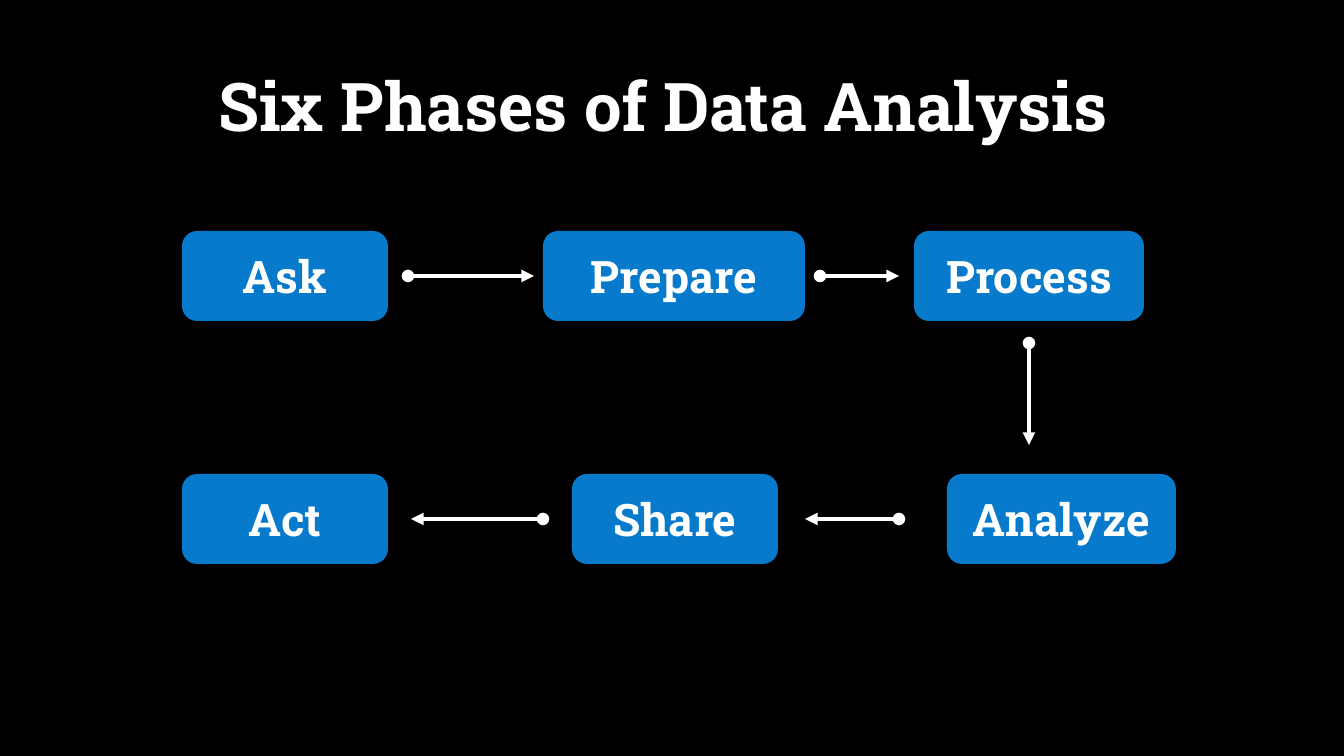
from lxml import etree
from pptx import Presentation
from pptx import util as u
from pptx.dml.color import RGBColor
from pptx.enum import shapes, text
from pptx.oxml.ns import qn

SCALE = 914400 / 100.8
COLORS = {"background": "000000", "phase": "077ACC", "light": "FFFFFF"}
FONT = "Roboto Slab"
BOX_HEIGHT = 90


def px(length):
    return u.Emu(round(length * SCALE))


def rgb(name):
    return RGBColor.from_string(COLORS[name])


def write(frame, words, size, color="light", bold=True, spacing=1.0):
    frame.word_wrap = True
    frame.auto_size = text.MSO_AUTO_SIZE.NONE
    frame.vertical_anchor = text.MSO_ANCHOR.MIDDLE
    paragraph = frame.paragraphs[0]
    paragraph.alignment = text.PP_ALIGN.CENTER
    paragraph.line_spacing = spacing
    run = paragraph.add_run()
    run.text = words
    run.font.name, run.font.size, run.font.bold = FONT, u.Pt(size), bold
    run.font.color.rgb = rgb(color)


def add_heading(slide, left, top, width, height):
    heading = slide.shapes.title
    heading.left, heading.top = px(left), px(top)
    heading.width, heading.height = px(width), px(height)
    write(heading.text_frame, "Six Phases of Data Analysis", 48, spacing=0.9)


def add_phase(slide, name, left, top, width):
    phase = slide.shapes.add_shape(
        shapes.MSO_SHAPE.ROUNDED_RECTANGLE,
        px(left), px(top), px(width), px(BOX_HEIGHT))
    phase.shadow.inherit = False
    phase.fill.solid()
    phase.fill.fore_color.rgb = rgb("phase")
    phase.line.fill.background()
    write(phase.text_frame, name, 32)


def add_arrow(slide, x1, y1, x2, y2):
    arrow = slide.shapes.add_connector(
        shapes.MSO_CONNECTOR.STRAIGHT, px(x1), px(y1), px(x2), px(y2))
    arrow.line.color.rgb = rgb("light")
    arrow.line.width = u.Pt(3)
    line = arrow.line._get_or_add_ln()
    for end, kind in (("a:headEnd", "oval"), ("a:tailEnd", "triangle")):
        etree.SubElement(line, qn(end), type=kind)
    etree.SubElement(arrow._element.spPr, qn("a:effectLst"))


def add_row(slide, left, top, phases, arrows):
    """Phases are (name, offset, width); arrows are (start, end) offsets."""
    for name, offset, width in phases:
        add_phase(slide, name, left + offset, top, width)
    middle = top + BOX_HEIGHT / 2
    for start, end in arrows:
        add_arrow(slide, left + start, middle, left + end, middle)


deck = Presentation()
deck.slide_width, deck.slide_height = px(1344), px(756)
slide = deck.slides.add_slide(deck.slide_layouts[5])
slide.background.fill.solid()
slide.background.fill.fore_color.rgb = rgb("background")

add_heading(slide, 93, 37, 1141, 146)

# First three phases, left to right
add_row(slide, 182, 231,
        [("Ask", 0, 206), ("Prepare", 361, 262), ("Process", 732, 230)],
        [(226, 352), (638, 717)])

# Last three phases, right to left
add_row(slide, 182, 474,
        [("Analyze", 765, 229), ("Share", 390, 206), ("Act", 0, 206)],
        [(717, 623), (361, 229)])

# Turn from Process down to Analyze
add_arrow(slide, 1029, 343, 1029, 445)

deck.save("out.pptx")
